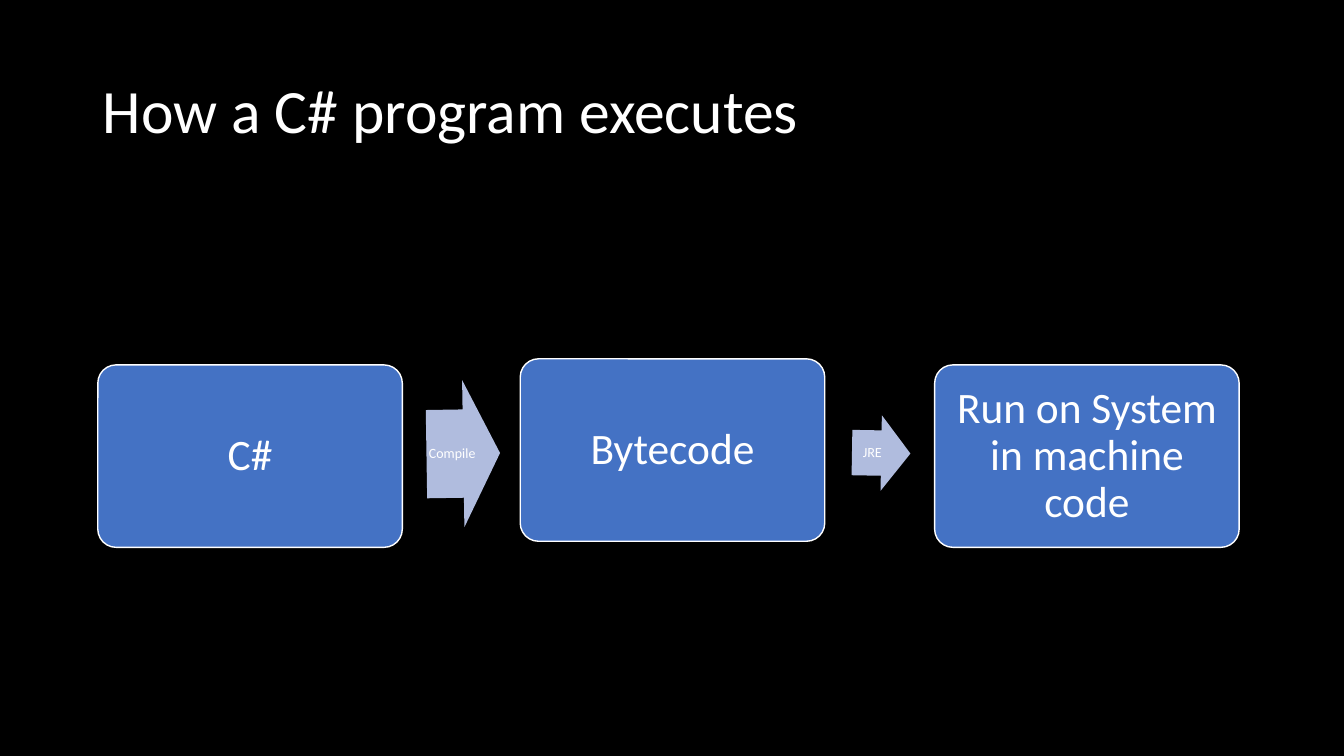
from pptx import Presentation
from pptx import util as u
from pptx.dml.color import RGBColor
from pptx.enum import shapes, text

WHITE, BLACK, BLUE, PALE_BLUE = "FFFFFF", "000000", "4472C4", "B0BCDE"
STEP_SIZE = (3.02, 1.81)

# left, top, wording
STEPS = [
    (0.97, 3.62, "C#"),
    (5.16, 3.56, "Bytecode"),
    (9.27, 3.62, "Run on System in machine code"),
]
# left, top, width, height, rotation, wording
ARROWS = [
    (4.23, 3.77, 0.73, 1.46, 359.1, "Compile"),
    (8.45, 4.12, 0.58, 0.75, 1, "JRE"),
]


def color(hex_value):
    return RGBColor.from_string(hex_value)


def write(shape, wording, size, align, inset_x, inset_y):
    """Put one formatted paragraph in a shape."""
    frame = shape.text_frame
    frame.text = wording
    frame_format = {
        "word_wrap": True, "vertical_anchor": text.MSO_ANCHOR.MIDDLE,
        "margin_left": u.Inches(inset_x), "margin_right": u.Inches(inset_x),
        "margin_top": u.Inches(inset_y), "margin_bottom": u.Inches(inset_y),
    }
    para = frame.paragraphs[0]
    para_format = {"alignment": align, "line_spacing": 0.9}
    font_format = {"name": "Calibri", "size": u.Pt(size)}
    for target, values in ((frame, frame_format), (para, para_format),
                           (para.runs[0].font, font_format)):
        for name, value in values.items():
            setattr(target, name, value)
    para.runs[0].font.color.rgb = color(WHITE)


def add_filled(page, kind, box, fill, adjustments):
    shape = page.shapes.add_shape(kind, *map(u.Inches, box))
    shape.shadow.inherit = False
    shape.fill.solid()
    shape.fill.fore_color.rgb = color(fill)
    for index, value in enumerate(adjustments):
        shape.adjustments[index] = value
    return shape


def add_title(page, box, wording):
    title = page.shapes.title
    title.left, title.top, title.width, title.height = map(u.Inches, box)
    write(title, wording, 44, text.PP_ALIGN.LEFT, 0.1, 0.05)


def add_step(page, box, wording):
    step = add_filled(page, shapes.MSO_SHAPE.ROUNDED_RECTANGLE, box, BLUE, [0.1])
    step.line.color.rgb = color(WHITE)
    step.line.width = u.Pt(1)
    write(step, wording, 31, text.PP_ALIGN.CENTER, 0.13, 0.13)


def add_arrow(page, box, rotation, wording):
    arrow = add_filled(page, shapes.MSO_SHAPE.RIGHT_ARROW, box, PALE_BLUE, [0.6, 0.5])
    arrow.line.fill.background()
    arrow.rotation = rotation
    write(arrow, wording, 10, text.PP_ALIGN.CENTER, 0, 0)


def main():
    deck = Presentation()
    deck.slide_width, deck.slide_height = u.Inches(13.33), u.Inches(7.5)
    page = deck.slides.add_slide(deck.slide_layouts[5])
    page.background.fill.solid()
    page.background.fill.fore_color.rgb = color(BLACK)
    add_title(page, (0.92, 0.4, 11.5, 1.45), "How a C# program executes")
    for left, top, wording in STEPS:
        add_step(page, (left, top, *STEP_SIZE), wording)
    for *box, rotation, wording in ARROWS:
        add_arrow(page, box, rotation, wording)
    deck.save("out.pptx")


if __name__ == "__main__":
    main()
